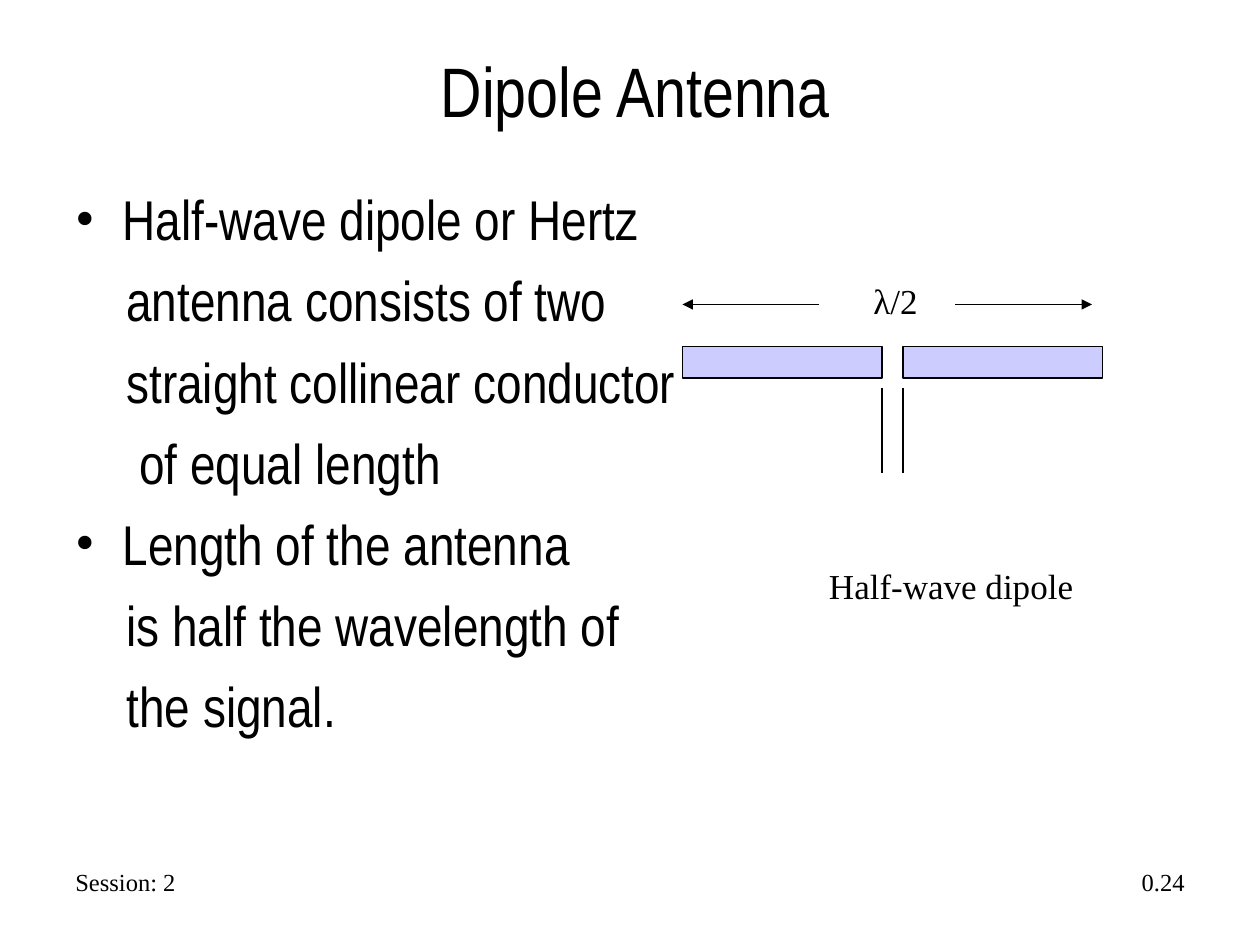
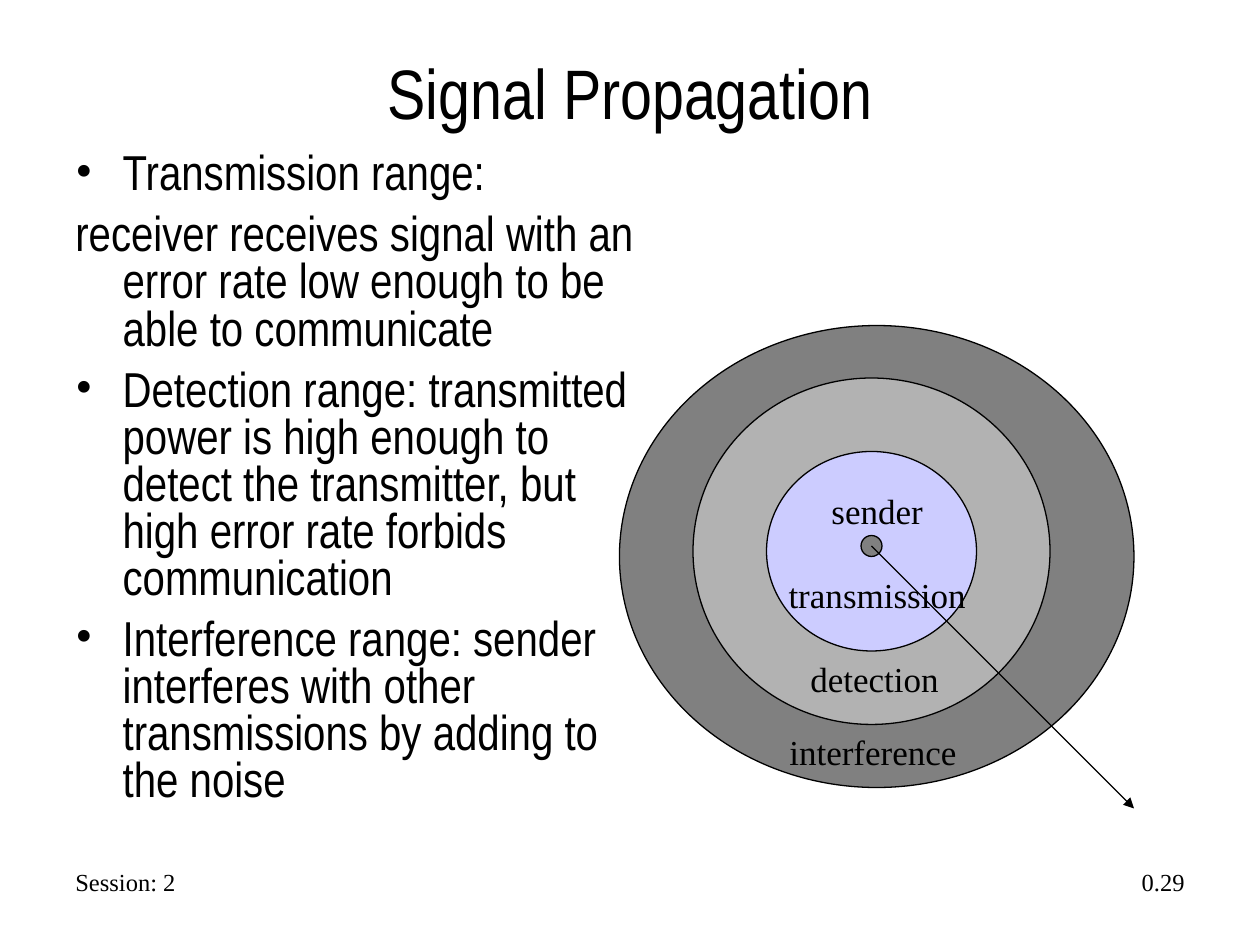
"""Build two slides on dipole antennas and signal propagation."""
import dataclasses
import typing

import lxml.etree
import pptx
import pptx.dml.color
import pptx.enum.shapes
import pptx.enum.text
import pptx.oxml.ns
import pptx.util

Pt = pptx.util.Pt
ALIGN = pptx.enum.text.PP_ALIGN
SHAPE = pptx.enum.shapes.MSO_SHAPE

SANS = "Arial Narrow"
SERIF = "Times New Roman"
BLACK = "000000"
LAVENDER = "CCCCFF"
DARK_GRAY = "808080"
LIGHT_GRAY = "B2B2B2"
LINE_WIDTH = 0.75
HANGING = 27


@dataclasses.dataclass(frozen=True)
class Box:
    """Position and size in points."""
    left: float
    top: float
    width: float
    height: float

    def lengths(self) -> tuple[pptx.util.Length, ...]:
        """Return the four values as lengths."""
        return tuple(Pt(value) for value in dataclasses.astuple(self))


@dataclasses.dataclass(frozen=True)
class Label:
    """A short unwrapped caption."""
    text: str
    box: Box


@dataclasses.dataclass(frozen=True)
class Solid:
    """A filled and outlined preset shape."""
    kind: SHAPE
    box: Box
    fill: str


@dataclasses.dataclass(frozen=True)
class Line:
    """A straight line with an optional arrowhead at its end."""
    start: tuple[float, float]
    end: tuple[float, float]
    arrow: bool = False


@dataclasses.dataclass(frozen=True)
class Item:
    """A body paragraph with its left margin and first-line indent."""
    text: str
    bullet: bool = True
    margin: float = HANGING
    indent: float = -HANGING


def color(value: str) -> pptx.dml.color.RGBColor:
    """Turn a hex string into a colour."""
    return pptx.dml.color.RGBColor.from_string(value)


def add_element(parent: typing.Any, tag: str, **attributes: str) -> None:
    """Append a drawing element with the given attributes."""
    lxml.etree.SubElement(parent, pptx.oxml.ns.qn(tag), attributes)


def style_paragraph(paragraph: typing.Any, font_name: str, size: float,
                    alignment: ALIGN = ALIGN.LEFT) -> None:
    """Apply alignment and font to a paragraph and its runs."""
    paragraph.alignment = alignment
    for run in paragraph.runs:
        run.font.name = font_name
        run.font.size = Pt(size)
        run.font.color.rgb = color(BLACK)


def place_title(slide: typing.Any, text: str, box: Box) -> None:
    """Move, fill and format the title placeholder."""
    title = slide.shapes.title
    title.left, title.top, title.width, title.height = box.lengths()
    frame = title.text_frame
    frame.text = text
    frame.auto_size = pptx.enum.text.MSO_AUTO_SIZE.NONE
    frame.vertical_anchor = pptx.enum.text.MSO_ANCHOR.MIDDLE
    style_paragraph(frame.paragraphs[0], SANS, 40, ALIGN.CENTER)


def add_label(shapes: typing.Any, label: Label, size: float = 20,
              alignment: ALIGN = ALIGN.LEFT, wrap: bool = False) -> None:
    """Add a one-line serif caption."""
    frame = shapes.add_textbox(*label.box.lengths()).text_frame
    frame.word_wrap = wrap
    frame.text = label.text
    style_paragraph(frame.paragraphs[0], SERIF, size, alignment)


def add_solid(shapes: typing.Any, solid: Solid) -> None:
    """Add a filled shape with a thin black outline."""
    shape = shapes.add_shape(solid.kind, *solid.box.lengths())
    shape.shadow.inherit = False
    shape.fill.solid()
    shape.fill.fore_color.rgb = color(solid.fill)
    shape.line.color.rgb = color(BLACK)
    shape.line.width = Pt(LINE_WIDTH)


def add_line(shapes: typing.Any, line: Line) -> None:
    """Add a thin black connector."""
    ends = [Pt(value) for value in line.start + line.end]
    connector = shapes.add_connector(
        pptx.enum.shapes.MSO_CONNECTOR.STRAIGHT, *ends)
    connector.line.color.rgb = color(BLACK)
    connector.line.width = Pt(LINE_WIDTH)
    if line.arrow:
        add_element(connector.line._get_or_add_ln(), "a:tailEnd", type="triangle")
    add_element(connector._element.spPr, "a:effectLst")


def add_body(slide: typing.Any, box: Box, items: list[Item], size: float,
             line_spacing: float = 1.0) -> None:
    """Add the body text with hanging bullets."""
    frame = slide.shapes.add_textbox(*box.lengths()).text_frame
    frame.word_wrap = True
    for index, item in enumerate(items):
        paragraph = frame.add_paragraph() if index else frame.paragraphs[0]
        paragraph.text = item.text
        paragraph.line_spacing = line_spacing
        paragraph.space_before = Pt(8)
        style_paragraph(paragraph, SANS, size)
        properties = paragraph._p.get_or_add_pPr()
        properties.set("marL", str(Pt(item.margin)))
        properties.set("indent", str(Pt(item.indent)))
        if item.bullet:
            add_element(properties, "a:buFont", typeface=SERIF)
            add_element(properties, "a:buChar", char="•")


def add_slide(presentation: typing.Any, title: str, title_box: Box,
              number: str) -> typing.Any:
    """Add a slide with its title and footers."""
    slide = presentation.slides.add_slide(presentation.slide_layouts[5])
    place_title(slide, title, title_box)
    add_label(slide.shapes, Label("Session: 2", Box(36, 492, 186, 24.5)), 14, wrap=True)
    add_label(slide.shapes, Label(number, Box(516, 492, 168, 24.5)), 14,
              ALIGN.RIGHT, wrap=True)
    return slide


def build_dipole_slide(presentation: typing.Any) -> None:
    """Build the half-wave dipole slide."""
    slide = add_slide(presentation, "Dipole Antenna", Box(36, 18, 654, 66), "0.24")
    items = [
        Item("Half-wave dipole or Hertz"),
        Item("antenna consists of two", False, 29.2, 0),
        Item("straight collinear conductor", False, 29.2, 0),
        Item("of equal length", False, 36.5, 0),
        Item("Length of the antenna"),
        Item("is half the wavelength of", False, 29.2, 0),
        Item("the signal.", False, 29.2, 0),
    ]
    add_body(slide, Box(36, 102, 654, 380), items, 32)
    for rod_left in (516, 390):
        add_solid(slide.shapes, Solid(SHAPE.RECTANGLE, Box(rod_left, 198, 114, 18), LAVENDER))
    for feed in (504, 516):
        add_line(slide.shapes, Line((feed, 222), (feed, 270)))
    for inner, outer in ((468, 390), (546, 624)):
        add_line(slide.shapes, Line((inner, 174), (outer, 174), arrow=True))
    add_label(slide.shapes, Label("λ/2", Box(492, 156, 39.6, 31.5)))
    add_label(slide.shapes, Label("Half-wave dipole", Box(466.6, 319, 154, 31.5)))


def build_propagation_slide(presentation: typing.Any) -> None:
    """Build the signal range slide."""
    slide = add_slide(presentation, "Signal Propagation", Box(48, 0, 624, 104.5), "0.29")
    items = [
        Item("Transmission range:"),
        Item("receiver receives signal with an error rate low enough to be able "
             "to communicate", bullet=False),
        Item("Detection range: transmitted power is high enough to detect the "
             "transmitter, but high error rate forbids communication"),
        Item("Interference range: sender interferes with other transmissions by "
             "adding to the noise"),
    ]
    add_body(slide, Box(36, 84, 342, 420), items, 28, 0.8)
    ranges = slide.shapes.add_group_shape().shapes
    for box, fill in (
        (Box(354, 186, 294, 264), DARK_GRAY),
        (Box(396, 216, 204, 198), LIGHT_GRAY),
        (Box(438, 258, 120, 114), LAVENDER),
        (Box(492, 306, 12, 12), DARK_GRAY),
    ):
        add_solid(ranges, Solid(SHAPE.OVAL, box, fill))
    for label in (
        Label("transmission", Box(443.5, 324, 120, 31.5)),
        Label("sender", Box(468, 276, 70, 31.5)),
        Label("detection", Box(456, 372, 92, 31.5)),
        Label("interference", Box(444, 414, 114, 31.5)),
    ):
        add_label(ranges, label)
    add_line(ranges, Line((498, 312), (648, 462), arrow=True))


def main() -> None:
    """Build and save the presentation."""
    presentation = pptx.Presentation()
    presentation.slide_width = Pt(720)
    presentation.slide_height = Pt(540)
    build_dipole_slide(presentation)
    build_propagation_slide(presentation)
    presentation.save("out.pptx")


if __name__ == "__main__":
    main()
